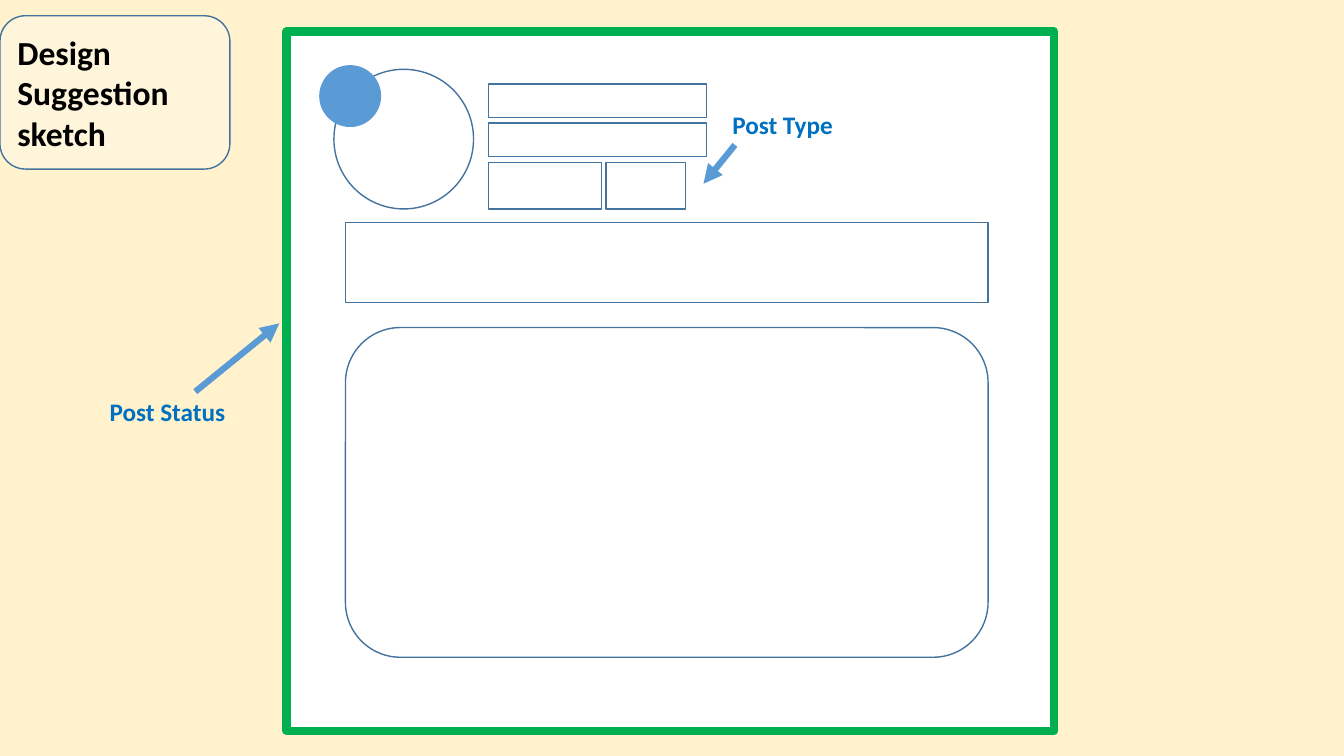
from pptx import Presentation
from pptx.dml.color import RGBColor
from pptx.enum.shapes import MSO_CONNECTOR, MSO_SHAPE
from pptx.enum.text import MSO_ANCHOR, MSO_AUTO_SIZE, PP_ALIGN
from pptx.oxml.ns import qn
from pptx.util import Pt
from lxml import etree

RECT, ROUND, OVAL = MSO_SHAPE.RECTANGLE, MSO_SHAPE.ROUNDED_RECTANGLE, MSO_SHAPE.OVAL
STRAIGHT = MSO_CONNECTOR.STRAIGHT
MIDDLE, LEFT = MSO_ANCHOR.MIDDLE, PP_ALIGN.LEFT
PX = 9525  # EMU per px, 96 px to the inch
FONT = "Calibri"
COLORS = {"cream": "FFF2CC", "white": "FFFFFF", "green": "00B050", "outline": "43739E",
          "blue": "5B9BD5", "label": "0070C0", "black": "000000"}

HEADING = "Design Suggestion sketch"
HEADING_BOX = (0, 15, 219, 146)
HEADING_OPACITY = 30

FRAME = (273, 30, 731, 666)
CONTENT_X, CONTENT_W = 329, 612
FIELD_X, FIELD_W, FIELD_H = 465, 208, 32
TAG_Y, TAG_H = 155, 44

# kind, box, fill, line colour, line width in points
SHAPES = [
    (RECT, FRAME, "white", "green", 6),
    (RECT, (CONTENT_X, 212, CONTENT_W, 76), None, "outline", 1),
    (ROUND, (CONTENT_X, 312, CONTENT_W, 314), "white", "outline", 1),
    (OVAL, (318, 66, 133, 133), "white", "outline", 1),
    (OVAL, (304, 62, 59, 59), "blue", None, 0),
    (RECT, (FIELD_X, 80, FIELD_W, FIELD_H), "white", "outline", 1),
    (RECT, (FIELD_X, 117, FIELD_W, FIELD_H), "white", "outline", 1),
    (RECT, (FIELD_X, TAG_Y, 108, TAG_H), "white", "outline", 1),
    (RECT, (577, TAG_Y, 76, TAG_H), "white", "outline", 1),
]

# text, box, arrow start, arrow end
CALLOUTS = [
    ("Post Status", (95, 373, 131, 38), (186, 373), (266, 308)),
    ("Post Type", (688, 99, 116, 38), (700, 138), (670, 175)),
]


def rgb(name):
    return RGBColor.from_string(COLORS[name])


def emu(lengths):
    return [n * PX for n in lengths]


def add_box(s, kind, box, fill, line, width):
    sp = s.shapes.add_shape(kind, *emu(box))
    sp.shadow.inherit = False
    if fill:
        sp.fill.solid()
        sp.fill.fore_color.rgb = rgb(fill)
    else:
        sp.fill.background()
    if line:
        sp.line.color.rgb = rgb(line)
        sp.line.width = Pt(width)
    else:
        sp.line.fill.background()
    return sp


def add_text(tf, text, size, color):
    p = tf.paragraphs[0]
    p.alignment = LEFT
    r = p.add_run()
    r.text = text
    r.font.name = FONT
    r.font.size = Pt(size)
    r.font.bold = True
    r.font.color.rgb = rgb(color)


def add_heading(s):
    sp = add_box(s, ROUND, HEADING_BOX, "white", "outline", 1)
    color = sp.fill._xPr.find(qn("a:solidFill"))[0]
    etree.SubElement(color, qn("a:alpha"), val=str(HEADING_OPACITY * 1000))
    sp.text_frame.word_wrap = True
    sp.text_frame.vertical_anchor = MIDDLE
    add_text(sp.text_frame, HEADING, 24, "black")


def add_callout(s, text, box, start, end):
    arrow = s.shapes.add_connector(STRAIGHT, *emu(start + end))
    arrow.line.color.rgb = rgb("blue")
    arrow.line.width = Pt(4.5)
    etree.SubElement(arrow.line._get_or_add_ln(), qn("a:tailEnd"), type="triangle")
    etree.SubElement(arrow._element.spPr, qn("a:effectLst"))
    tf = s.shapes.add_textbox(*emu(box)).text_frame
    tf.word_wrap = False
    tf.auto_size = MSO_AUTO_SIZE.SHAPE_TO_FIT_TEXT
    add_text(tf, text, 18, "label")


def main():
    prs = Presentation()
    prs.slide_width, prs.slide_height = emu((1280, 720))
    s = prs.slides.add_slide(prs.slide_layouts[6])
    s.background.fill.solid()
    s.background.fill.fore_color.rgb = rgb("cream")
    for shape in SHAPES:
        add_box(s, *shape)
    add_heading(s)
    for callout in CALLOUTS:
        add_callout(s, *callout)
    prs.save("out.pptx")


if __name__ == "__main__":
    main()
